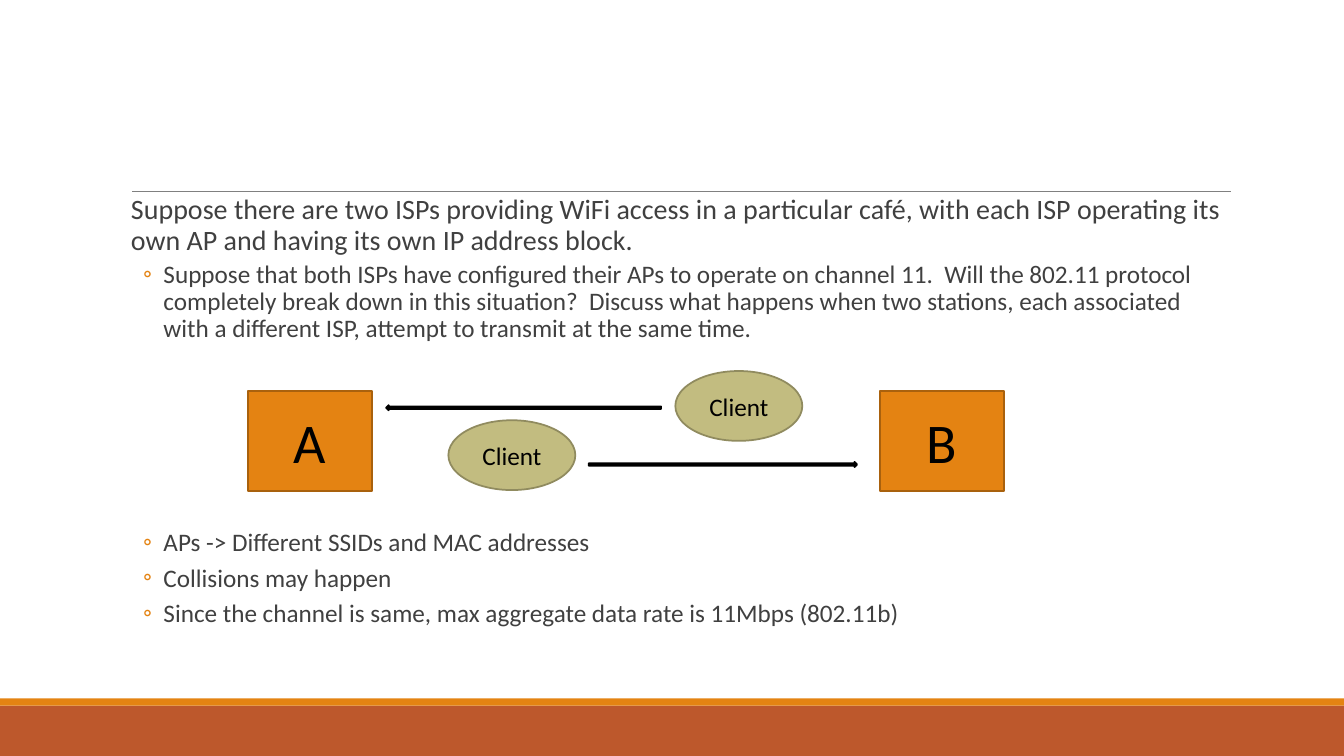
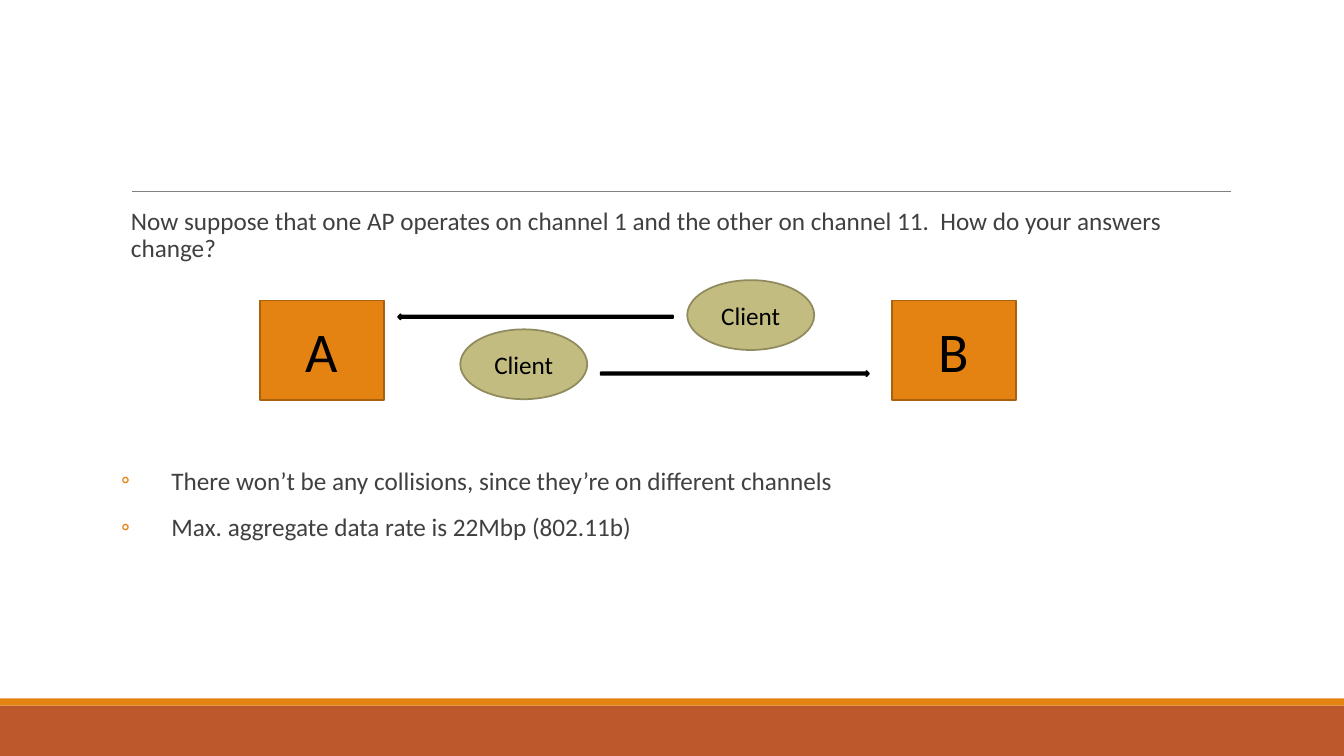
from dataclasses import dataclass

from lxml import etree
from pptx import Presentation
from pptx.dml.color import RGBColor
from pptx.enum import shapes, text
from pptx.oxml import ns
from pptx.util import Cm, Pt


@dataclass(frozen=True)
class Theme:
    font: str = "Calibri"
    body: RGBColor = RGBColor(0x40, 0x40, 0x40)
    black: RGBColor = RGBColor(0, 0, 0)
    orange: RGBColor = RGBColor(0xE4, 0x83, 0x12)
    orange_edge: RGBColor = RGBColor(0xA9, 0x61, 0x0D)
    rust: RGBColor = RGBColor(0xBD, 0x58, 0x2C)
    olive: RGBColor = RGBColor(0xC2, 0xBC, 0x80)
    olive_edge: RGBColor = RGBColor(0x90, 0x8B, 0x5F)
    rule: RGBColor = RGBColor(0x80, 0x80, 0x80)
    lead_size: int = 20
    text_size: int = 18
    station_size: int = 40


@dataclass(frozen=True)
class Line:
    wording: str
    size: int
    before: float
    after: float
    margin: float
    hanging: float = 0
    bullet: bool = False


THEME = Theme()
KIND = shapes.MSO_SHAPE
SLIDE_W, SLIDE_H = 33.87, 19.05
BAND_H, STRIP_H = 1.27, 0.18


def style_run(run, size, colour):
    run.font.name = THEME.font
    run.font.size = Pt(size)
    run.font.color.rgb = colour


def add_figure(slide, kind, box, fill, edge=None, label="", size=THEME.text_size):
    figure = slide.shapes.add_shape(kind, *map(Cm, box))
    figure.shadow.inherit = False
    figure.fill.solid()
    figure.fill.fore_color.rgb = fill
    if edge is None:
        figure.line.fill.background()
    else:
        figure.line.color.rgb = edge
        figure.line.width = Pt(1.25)
    if label:
        frame = figure.text_frame
        frame.text = label
        frame.vertical_anchor = text.MSO_ANCHOR.MIDDLE
        caption = frame.paragraphs[0]
        caption.alignment = text.PP_ALIGN.CENTER
        style_run(caption.runs[0], size, THEME.black)


def add_frame(slide):
    band_top = SLIDE_H - BAND_H
    add_figure(slide, KIND.RECTANGLE, (0, band_top, SLIDE_W, BAND_H), THEME.rust)
    add_figure(slide, KIND.RECTANGLE,
               (0, band_top - STRIP_H, SLIDE_W, STRIP_H), THEME.orange)
    rule = slide.shapes.add_connector(
        shapes.MSO_CONNECTOR.STRAIGHT, Cm(3.33), Cm(4.83), Cm(31.01), Cm(4.83))
    rule.line.color.rgb = THEME.rule
    rule.line.width = Pt(0.5)
    etree.SubElement(rule.element.spPr, ns.qn("a:effectLst"))


def set_bullet(paragraph, line):
    props = paragraph._p.get_or_add_pPr()
    props.set("marL", str(Cm(line.margin)))
    props.set("indent", str(-Cm(line.hanging)))
    if not line.bullet:
        etree.SubElement(props, ns.qn("a:buNone"))
        return
    colour = etree.SubElement(props, ns.qn("a:buClr"))
    etree.SubElement(colour, ns.qn("a:srgbClr"), val=str(THEME.orange))
    etree.SubElement(props, ns.qn("a:buFont"), typeface=THEME.font)
    etree.SubElement(props, ns.qn("a:buChar"), char="◦")


def fill_discussion(placeholder, box, lines):
    placeholder.left, placeholder.top, placeholder.width, placeholder.height = map(Cm, box)
    frame = placeholder.text_frame
    frame.text = "\n".join(line.wording for line in lines)
    frame.word_wrap = True
    frame.auto_size = text.MSO_AUTO_SIZE.NONE
    frame.vertical_anchor = text.MSO_ANCHOR.TOP
    frame.margin_left = frame.margin_right = 0
    frame.margin_top = frame.margin_bottom = Cm(0.13)
    for paragraph, line in zip(frame.paragraphs, lines):
        paragraph.level = int(line.bullet)
        paragraph.alignment = text.PP_ALIGN.LEFT
        paragraph.line_spacing = 0.9
        paragraph.space_before = Pt(line.before)
        paragraph.space_after = Pt(line.after)
        set_bullet(paragraph, line)
        style_run(paragraph.runs[0], line.size, THEME.body)


def add_network(slide, left, top):
    width, station_w, station_h = 19.05, 3.12, 2.51
    for label, x in (("A", 0), ("B", width - station_w)):
        add_figure(slide, KIND.RECTANGLE, (left + x, top + 0.51, station_w, station_h),
                   THEME.orange, THEME.orange_edge, label, THEME.station_size)
    for x, y in ((5.05, 1.24), (10.77, 0)):
        add_figure(slide, KIND.OVAL, (left + x, top + y, 3.2, 1.76),
                   THEME.olive, THEME.olive_edge, "Client")
    for kind, x, y, length in ((KIND.RIGHT_ARROW, 8.59, 2.29, 6.76),
                               (KIND.LEFT_ARROW, 3.48, 0.86, 6.93)):
        add_figure(slide, kind, (left + x, top + y, length, 0.13),
                   THEME.black, THEME.black)


def add_discussion_slide(deck, body_box, lines, network_at):
    slide = deck.slides.add_slide(deck.slide_layouts[1])
    heading = slide.shapes.title.element
    heading.getparent().remove(heading)
    add_frame(slide)
    fill_discussion(slide.placeholders[1], body_box, lines)
    add_network(slide, *network_at)


def point(wording, before=2):
    return Line(wording, THEME.text_size, before, 4, 1.07, 0.51, True)


def answer(wording, before=12):
    return Line(wording, THEME.text_size, before, 2, 1.27, 1.27, True)


def question(wording, size):
    return Line(wording, size, 12, 2, 0.25)


def main():
    deck = Presentation()
    deck.slide_width, deck.slide_height = Cm(SLIDE_W), Cm(SLIDE_H)
    add_discussion_slide(deck, (3.05, 4.8, 27.94, 12.09), [
        question("Suppose there are two ISPs providing WiFi access in a particular café, "
                 "with each ISP operating its own AP and having its own IP address block.",
                 THEME.lead_size),
        point("Suppose that both ISPs have configured their APs to operate on channel 11.  "
              "Will the 802.11 protocol completely break down in this situation?  "
              "Discuss what happens when two stations, each associated with a different "
              "ISP, attempt to transmit at the same time."),
        point("APs -> Different SSIDs and MAC addresses", before=129),
        point("Collisions may happen"),
        point("Since the channel is same, max aggregate data rate is 11Mbps (802.11b)"),
    ], (6.25, 9.35))
    add_discussion_slide(deck, (3.05, 5.13, 27.94, 11.18), [
        question("Now suppose that one AP operates on channel 1 and the other on "
                 "channel 11.  How do your answers change?", THEME.text_size),
        answer("There won’t be any collisions, since they’re on different channels",
               before=144.5),
        answer("Max. aggregate data rate is 22Mbp (802.11b)"),
    ], (6.55, 7.06))
    deck.save("out.pptx")


if __name__ == "__main__":
    main()
